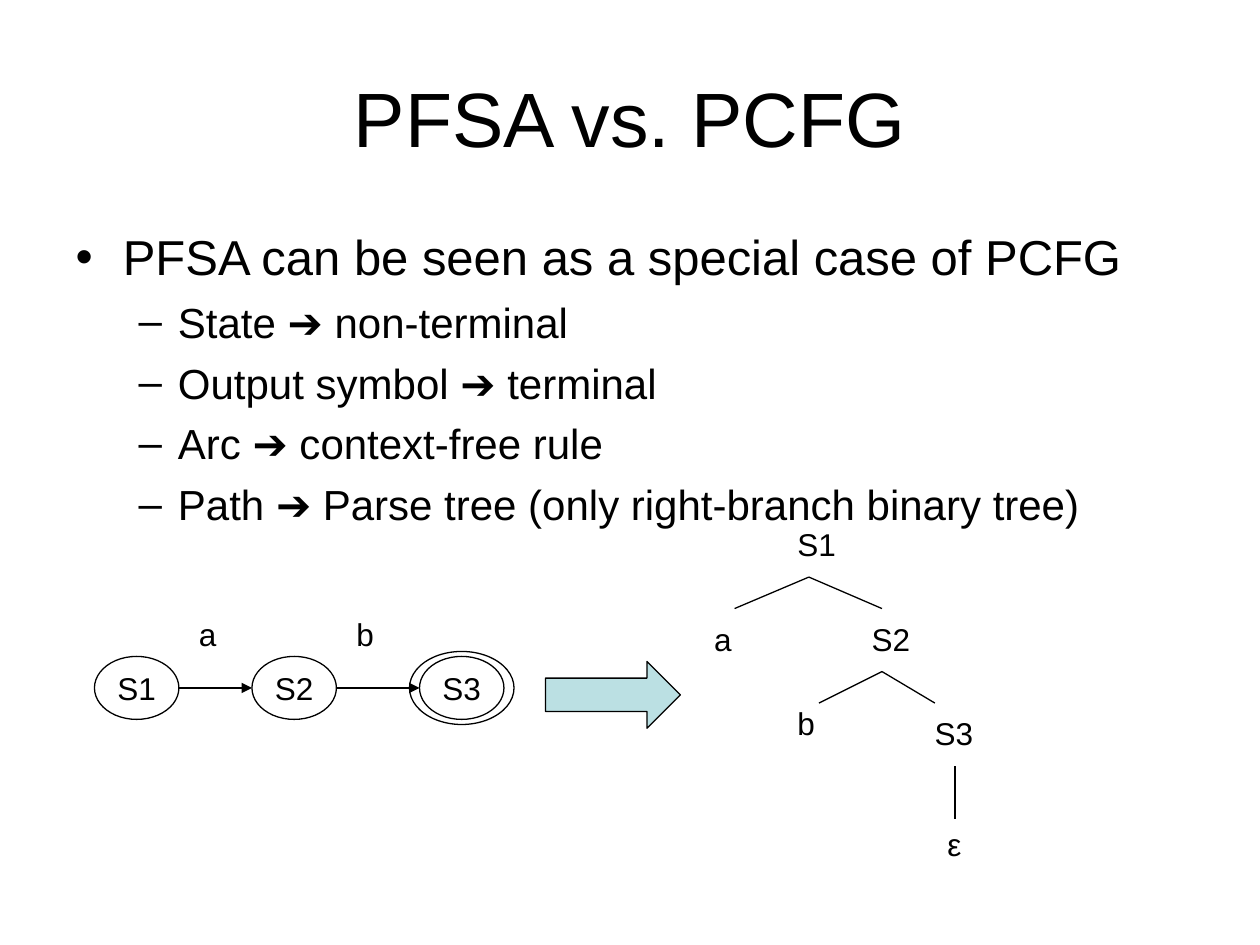
"""Build a slide relating a finite-state automaton to its parse tree."""
from pptx import Presentation
from pptx.dml.color import RGBColor
from pptx.enum.shapes import MSO_CONNECTOR, MSO_SHAPE
from pptx.enum.text import MSO_ANCHOR, MSO_AUTO_SIZE, PP_ALIGN
from pptx.oxml.ns import qn
from pptx.util import Inches, Pt
from lxml.etree import SubElement

COLORS = {"ink": "000000", "arrow": "BBE0E3"}
FONT = "Arial"
TITLE = "PFSA vs. PCFG"
BULLETS = [
    (0, "PFSA can be seen as a special case of PCFG"),
    (1, "State ➔ non-terminal"),
    (1, "Output symbol ➔ terminal"),
    (1, "Arc ➔ context-free rule"),
    (1, "Path ➔ Parse tree (only right-branch binary tree)"),
]
LEVEL_STYLE = {0: (28, 7), 1: (24, 6)}

STATES = [("S1", 0.75), ("S2", 2), ("S3", 3.33)]
OUTPUTS = ["a", "b"]
STATE_TOP, STATE_W, STATE_H = 5.21, 0.67, 0.5
OUTPUT_TOP, OUTPUT_GAP = 4.83, 0.06
FINAL_RING = (3.25, 5.17, 0.83, 0.58)
BLOCK_ARROW = (4.33, 5.25, 1.07, 0.53)

LABEL_WIDTHS = {1: 0.35, 2: 0.52}
TREE_NODES = [
    ("S1", 6.23, 4.12),
    ("a", 5.57, 4.87),
    ("S2", 6.82, 4.87),
    ("b", 6.23, 5.54),
    ("S3", 7.32, 5.62),
    ("ε", 7.42, 6.5),
]
TREE_BRANCHES = [
    ((6.42, 4.58), [(5.83, 4.83), (7, 4.83)]),
    ((7, 5.33), [(6.5, 5.58), (7.42, 5.58)]),
    ((7.58, 6.08), [(7.58, 6.5)]),
]


def rgb(name):
    """Return the named colour."""
    return RGBColor.from_string(COLORS[name])


def style(p, size):
    """Format every run of a paragraph."""
    for r in p.runs:
        r.font.name, r.font.size = FONT, Pt(size)
        r.font.color.rgb = rgb("ink")


def place(sp, left, top, width, height):
    """Move and size a shape, in inches."""
    sp.left, sp.top = Inches(left), Inches(top)
    sp.width, sp.height = Inches(width), Inches(height)


def add_outline(shapes, kind, box, fill=None):
    """Add a thin-lined preset shape."""
    sp = shapes.add_shape(kind, *map(Inches, box))
    sp.shadow.inherit = False
    sp.line.color.rgb, sp.line.width = rgb("ink"), Pt(0.75)
    if fill:
        sp.fill.solid()
        sp.fill.fore_color.rgb = rgb(fill)
    else:
        sp.fill.background()
    return sp


def add_state(shapes, name, left):
    """Add an automaton state."""
    sp = add_outline(shapes, MSO_SHAPE.OVAL, (left, STATE_TOP, STATE_W, STATE_H))
    tf = sp.text_frame
    tf.text, tf.word_wrap = name, False
    tf.vertical_anchor = MSO_ANCHOR.MIDDLE
    tf.paragraphs[0].alignment = PP_ALIGN.CENTER
    style(tf.paragraphs[0], 18)


def add_label(shapes, text, left, top):
    """Add a one-line text label."""
    box = (left, top, LABEL_WIDTHS[len(text)], 0.4)
    tf = shapes.add_textbox(*map(Inches, box)).text_frame
    tf.text, tf.word_wrap = text, False
    tf.auto_size = MSO_AUTO_SIZE.SHAPE_TO_FIT_TEXT
    style(tf.paragraphs[0], 18)


def add_line(shapes, start, end, arrow=False):
    """Add a straight line, with an arrowhead at its end if asked."""
    cxn = shapes.add_connector(MSO_CONNECTOR.STRAIGHT, *map(Inches, (*start, *end)))
    cxn.line.color.rgb, cxn.line.width = rgb("ink"), Pt(0.75)
    sp_pr = cxn._element.spPr
    if arrow:
        SubElement(sp_pr.get_or_add_ln(), qn("a:tailEnd"), type="triangle")
    SubElement(sp_pr, qn("a:effectLst"))


def add_text(s):
    """Fill the title and body placeholders."""
    title, body = s.shapes.title, s.placeholders[1]
    place(title, 0.5, 0.3, 9, 1.25)
    title.text_frame.text = TITLE
    title.text_frame.vertical_anchor = MSO_ANCHOR.MIDDLE
    style(title.text_frame.paragraphs[0], 44)
    place(body, 0.5, 1.75, 9, 4.95)
    tf = body.text_frame
    tf.text = "\n".join(text for _, text in BULLETS)
    tf.auto_size = MSO_AUTO_SIZE.NONE
    for p, (level, _) in zip(tf.paragraphs, BULLETS):
        size, before = LEVEL_STYLE[level]
        p.level, p.space_before = level, Pt(before)
        style(p, size)


def add_automaton(shapes):
    """Draw the states with an arc and output symbol between neighbours."""
    for name, left in STATES:
        add_state(shapes, name, left)
    mid = STATE_TOP + STATE_H / 2
    for output, (_, left), (_, end) in zip(OUTPUTS, STATES, STATES[1:]):
        start = left + STATE_W
        add_line(shapes, (start, mid), (end, mid), arrow=True)
        add_label(shapes, output, start + OUTPUT_GAP, OUTPUT_TOP)


def add_tree(shapes):
    """Draw the parse tree."""
    for parent, children in TREE_BRANCHES:
        for child in children:
            add_line(shapes, parent, child)
    for node in TREE_NODES:
        add_label(shapes, *node)


def main():
    """Build and save the slide."""
    prs = Presentation()
    prs.slide_width, prs.slide_height = Inches(10), Inches(7.5)
    s = prs.slides.add_slide(prs.slide_layouts[1])
    add_text(s)
    add_automaton(s.shapes.add_group_shape().shapes)
    add_tree(s.shapes.add_group_shape().shapes)
    add_outline(s.shapes, MSO_SHAPE.OVAL, FINAL_RING)
    add_outline(s.shapes, MSO_SHAPE.RIGHT_ARROW, BLOCK_ARROW, "arrow")
    prs.save("out.pptx")


if __name__ == "__main__":
    main()
